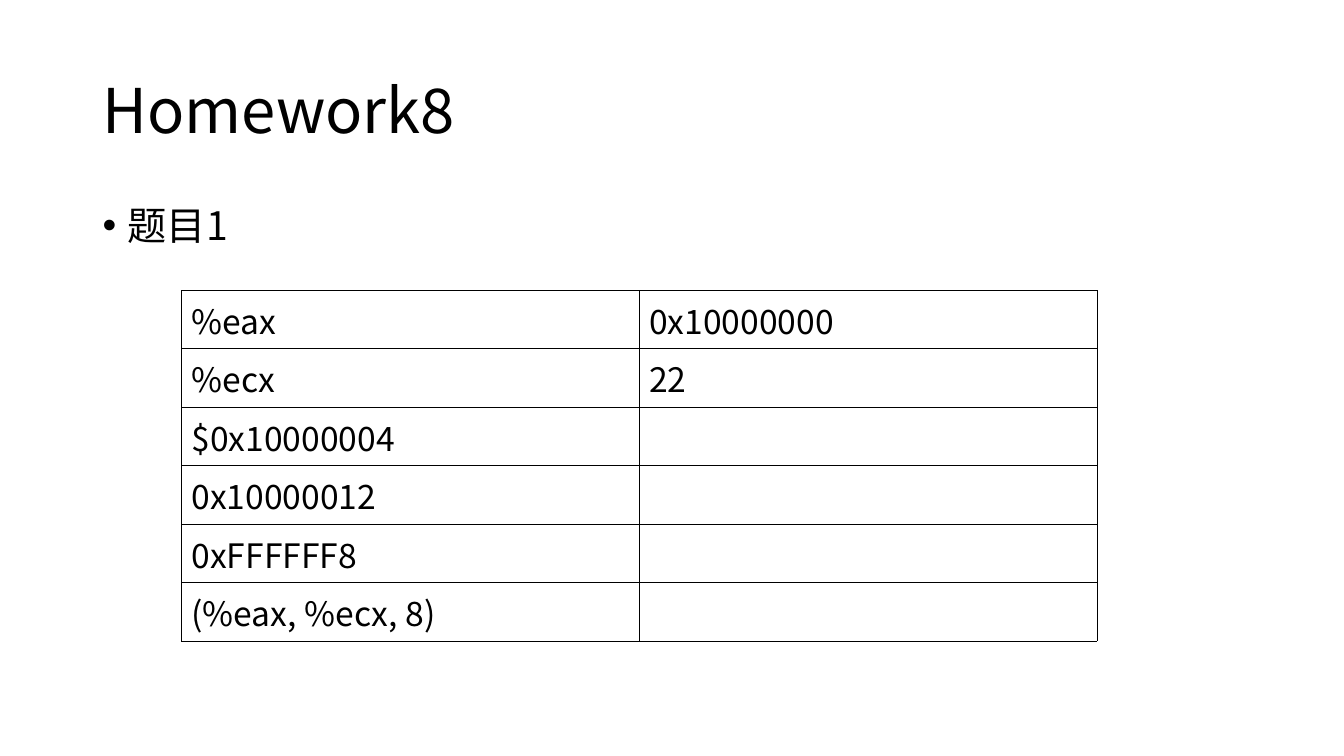
from dataclasses import dataclass

from lxml.etree import SubElement
from pptx import Presentation
from pptx.dml.color import RGBColor
from pptx.enum.text import MSO_ANCHOR as Anchor
from pptx.oxml import parse_xml
from pptx.oxml.ns import nsdecls, qn
from pptx.util import Pt

PX = 9144  # EMU per px, 100 px to the inch


@dataclass(frozen=True)
class Theme:
    font: str = "Noto Sans CJK SC"
    ink: str = "000000"
    paper: str = "FFFFFF"
    title_size: int = 44
    body_size: int = 28
    table_size: int = 24
    border: int = 6096


theme = Theme()


def write(text_frame, text, size):
    text_frame.text = text
    paragraph = text_frame.paragraphs[0]
    for run in paragraph.runs:
        run.font.size = Pt(size)
        run.font.name = theme.font
        run.font.color.rgb = RGBColor.from_string(theme.ink)
        SubElement(run.font._element, qn("a:ea"), typeface=theme.font)
    return paragraph


def add_text(slide, box, text, size, anchor):
    shape = slide.shapes.add_textbox(*(length * PX for length in box))
    shape.text_frame.word_wrap = True
    shape.text_frame.vertical_anchor = anchor
    paragraph = write(shape.text_frame, text, size)
    paragraph.line_spacing = 0.9
    return paragraph


presentation = Presentation()
presentation.slide_width = 1333 * PX
presentation.slide_height = 750 * PX
slide = presentation.slides.add_slide(presentation.slide_layouts[6])
slide.background.fill.solid()
slide.background.fill.fore_color.rgb = RGBColor.from_string(theme.paper)

add_text(slide, (92, 40, 1150, 145), "Homework8", theme.title_size, Anchor.MIDDLE)

question = add_text(slide, (92, 200, 1150, 476), "题目1", theme.body_size, Anchor.TOP)
question.space_before = Pt(10)
properties = question._p.get_or_add_pPr()
properties.set("marL", str(25 * PX))
properties.set("indent", str(-25 * PX))
SubElement(properties, qn("a:buFont"), typeface="Arial")
SubElement(properties, qn("a:buChar"), char="•")

operands = [
    ("%eax", "0x10000000"),
    ("%ecx", "22"),
    ("$0x10000004", ""),
    ("0x10000012", ""),
    ("0xFFFFFF8", ""),
    ("(%eax, %ecx, 8)", ""),
]
column_width, row_height = 454, 58
frame = slide.shapes.add_table(
    len(operands), 2, 180 * PX, 288 * PX,
    2 * column_width * PX, len(operands) * row_height * PX)
table = frame.table
table.first_row = False
table.horz_banding = False

for row, values in enumerate(operands):
    for column, value in enumerate(values):
        cell = table.cell(row, column)
        cell.vertical_anchor = Anchor.MIDDLE
        write(cell.text_frame, value, theme.table_size)
        cell.fill.background()
        cell_properties = cell._tc.get_or_add_tcPr()
        for position, side in enumerate(("lnL", "lnR", "lnT", "lnB")):
            cell_properties.insert(position, parse_xml(
                f'<a:{side} {nsdecls("a")} w="{theme.border}"><a:solidFill>'
                f'<a:srgbClr val="{theme.ink}"/></a:solidFill></a:{side}>'))

presentation.save("out.pptx")
